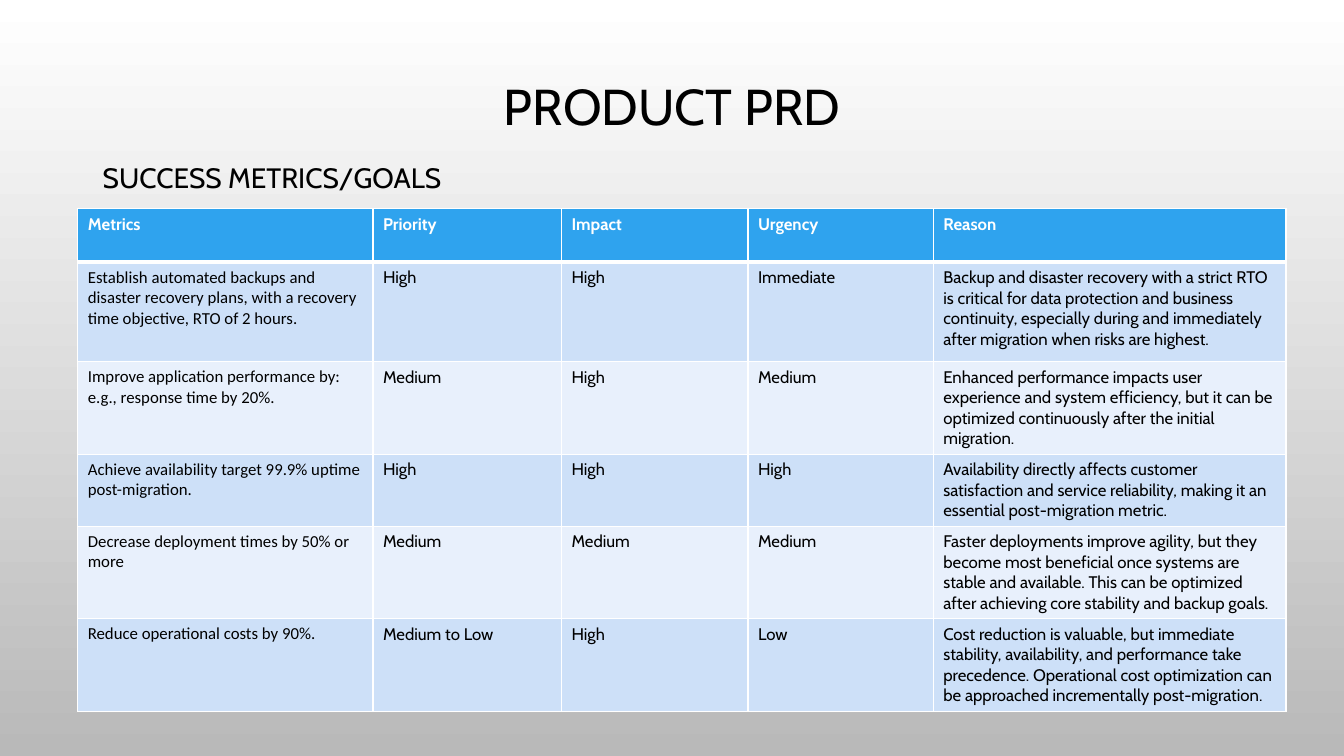
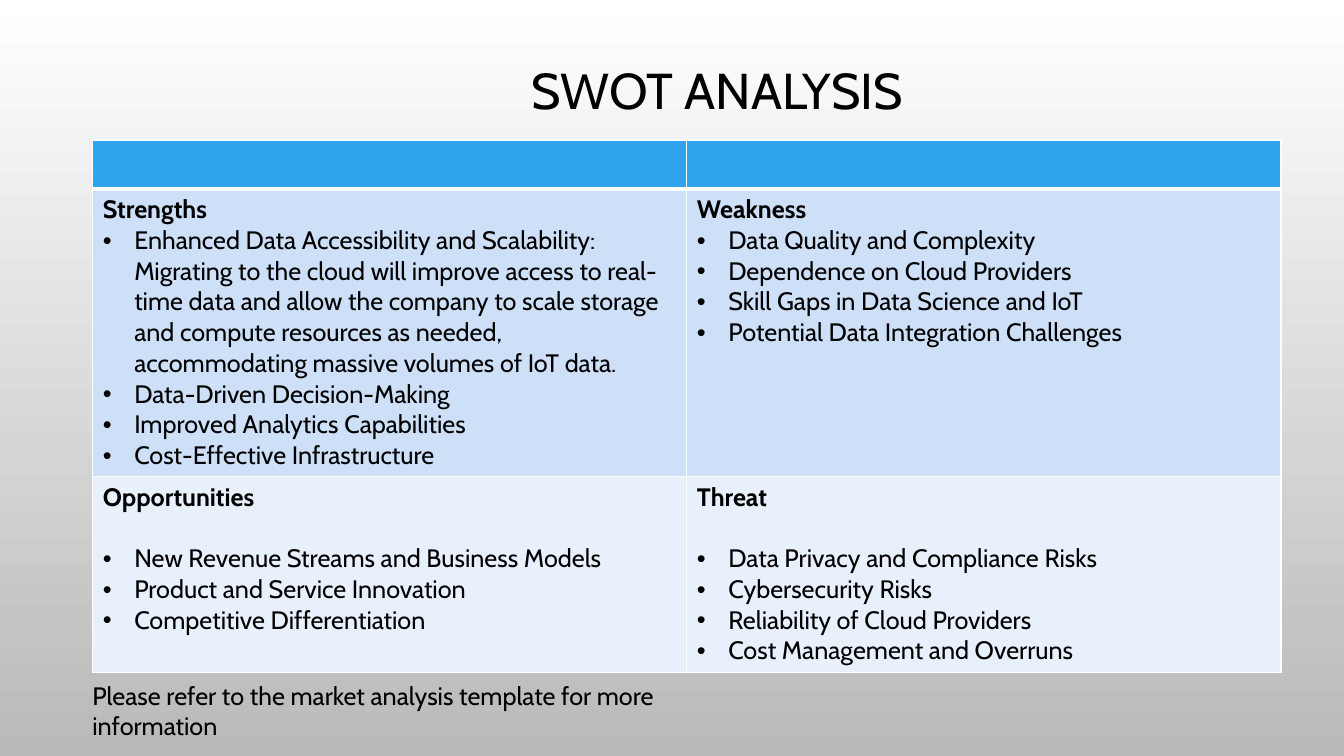
from lxml import etree
from pptx import Presentation
from pptx.dml.color import RGBColor
from pptx.enum import text as t
from pptx.oxml import ns
from pptx.util import Cm, Pt

BLACK, WHITE, GREY = "000000", "FFFFFF", "B9B9B9"
HEADER, BANDS = "2FA3EE", ("CDE0F8", "E8F0FC")
FONT, ALT_FONT = "Cabin", "Calibri"
INDENT = Cm(0.79)

METRICS = [
    ("Metrics", "Priority", "Impact", "Urgency", "Reason"),
    ("Establish automated backups and disaster recovery plans, with a recovery time objective, RTO of 2 hours.",
     "High", "High", "Immediate",
     "Backup and disaster recovery with a strict RTO is critical for data protection and business continuity, "
     "especially during and immediately after migration when risks are highest."),
    ("Improve application performance by: e.g., response time by 20%.",
     "Medium", "High", "Medium",
     "Enhanced performance impacts user experience and system efficiency, but it can be optimized continuously "
     "after the initial migration."),
    ("Achieve availability target 99.9% uptime post-migration.",
     "High", "High", "High",
     "Availability directly affects customer satisfaction and service reliability, making it an essential "
     "post-migration metric."),
    ("Decrease deployment times by 50% or more",
     "Medium", "Medium", "Medium",
     "Faster deployments improve agility, but they become most beneficial once systems are stable and available. "
     "This can be optimized after achieving core stability and backup goals."),
    ("Reduce operational costs by 90%.",
     "Medium to Low", "High", "Low",
     "Cost reduction is valuable, but immediate stability, availability, and performance take precedence. "
     "Operational cost optimization can be approached incrementally post-migration."),
]

SWOT = [
    [("Strengths", [
        "Enhanced Data Accessibility and Scalability: Migrating to the cloud will improve access to real-time data "
        "and allow the company to scale storage and compute resources as needed, accommodating massive volumes of "
        "IoT data.",
        "Data-Driven Decision-Making",
        "Improved Analytics Capabilities",
        "Cost-Effective Infrastructure"]),
     ("Weakness", [
         "Data Quality and Complexity",
         "Dependence on Cloud Providers",
         "Skill Gaps in Data Science and IoT",
         "Potential Data Integration Challenges"])],
    [("Opportunities", [
        "New Revenue Streams and Business Models",
        "Product and Service Innovation",
        "Competitive Differentiation"]),
     ("Threat", [
         "Data Privacy and Compliance Risks",
         "Cybersecurity Risks",
         "Reliability of Cloud Providers",
         "Cost Management and Overruns"])],
]


def rgb(color):
    return RGBColor.from_string(color)


def write(tf, text, size=18, font=FONT, color=BLACK, bold=False, align=None,
          spacing=None, before=None, after=None, bullet=False):
    p = tf.paragraphs[-1]
    if p.runs:
        p = tf.add_paragraph()
    p.alignment, p.line_spacing = align, spacing
    p.space_before, p.space_after = before, after
    if bullet:
        pPr = p._p.get_or_add_pPr()
        pPr.set("marL", str(INDENT))
        pPr.set("indent", str(-INDENT))
        etree.SubElement(pPr, ns.qn("a:buFont")).set("typeface", "Arial")
        etree.SubElement(pPr, ns.qn("a:buChar")).set("char", "•")
    r = p.add_run()
    r.text = text
    r.font.size, r.font.name, r.font.bold = Pt(size), font, bold
    r.font.color.rgb = rgb(color)


def add_text(s, text, x, y, w, h, anchor=t.MSO_ANCHOR.TOP, **fmt):
    tf = s.shapes.add_textbox(Cm(x), Cm(y), Cm(w), Cm(h)).text_frame
    tf.word_wrap, tf.vertical_anchor = True, anchor
    write(tf, text, **fmt)


def add_title(s, text, x, y):
    add_text(s, text, x, y, 24.77, 3.56, anchor=t.MSO_ANCHOR.MIDDLE,
             size=36, align=t.PP_ALIGN.CENTER, spacing=0.9)


def set_borders(cell, bottom):
    tcPr = cell._tc.get_or_add_tcPr()
    for side, width in (("L", 1), ("R", 1), ("T", 1), ("B", bottom)):
        ln = etree.SubElement(tcPr, ns.qn(f"a:ln{side}"), w=str(Pt(width)))
        fill = etree.SubElement(ln, ns.qn("a:solidFill"))
        etree.SubElement(fill, ns.qn("a:srgbClr"), val=WHITE)


def add_table(s, x, y, widths, heights):
    table = s.shapes.add_table(len(heights), len(widths), Cm(x), Cm(y),
                               Cm(sum(widths)), Cm(sum(heights))).table
    for column, width in zip(table.columns, widths):
        column.width = Cm(width)
    for i, (row, height) in enumerate(zip(table.rows, heights)):
        row.height = Cm(height)
        for cell in row.cells:
            set_borders(cell, 1 if i else 3)
            cell.fill.solid()
            cell.fill.fore_color.rgb = rgb(BANDS[(i - 1) % 2] if i else HEADER)
    return table


def set_background(master):
    fill = master.background.fill
    fill.gradient()
    fill.gradient_angle = 270
    for stop, color in zip(fill.gradient_stops, (WHITE, GREY)):
        stop.color.rgb = rgb(color)


def build_metrics(s):
    add_title(s, "PRODUCT PRD", 4.55, 0.97)
    add_text(s, "SUCCESS METRICS/GOALS", 2.34, 3.76, 29.21, 1.4,
             size=20, spacing=1.2, before=Pt(10))
    table = add_table(s, 1.96, 5.26, (7.44, 4.75, 4.7, 4.67, 8.89),
                      (1.35, 2.51, 2.33, 1.81, 2.33, 2.33))
    for i, row in enumerate(METRICS):
        for j, text in enumerate(row):
            write(table.cell(i, j).text_frame, text, size=12, bold=i == 0,
                  color=BLACK if i else WHITE,
                  font=ALT_FONT if i and j == 0 else FONT)


def build_swot(s):
    add_title(s, "SWOT ANALYSIS", 5.69, 0.56)
    table = add_table(s, 2.34, 3.53, (14.97, 14.97), (1.24, 7.24, 4.93))
    for i, row in enumerate(SWOT, 1):
        for j, (heading, points) in enumerate(row):
            tf = table.cell(i, j).text_frame
            write(tf, heading, bold=True, after=Pt(22) if i == 2 else None)
            for point in points:
                write(tf, point, bullet=True)
    add_text(s, "Please refer to the market analysis template for more information",
             2.08, 17.02, 16.94, 1.8)


def main():
    prs = Presentation()
    prs.slide_width, prs.slide_height = Cm(33.87), Cm(19.05)
    set_background(prs.slide_master)
    for build in (build_metrics, build_swot):
        build(prs.slides.add_slide(prs.slide_layouts[6]))
    prs.save("out.pptx")


if __name__ == "__main__":
    main()
